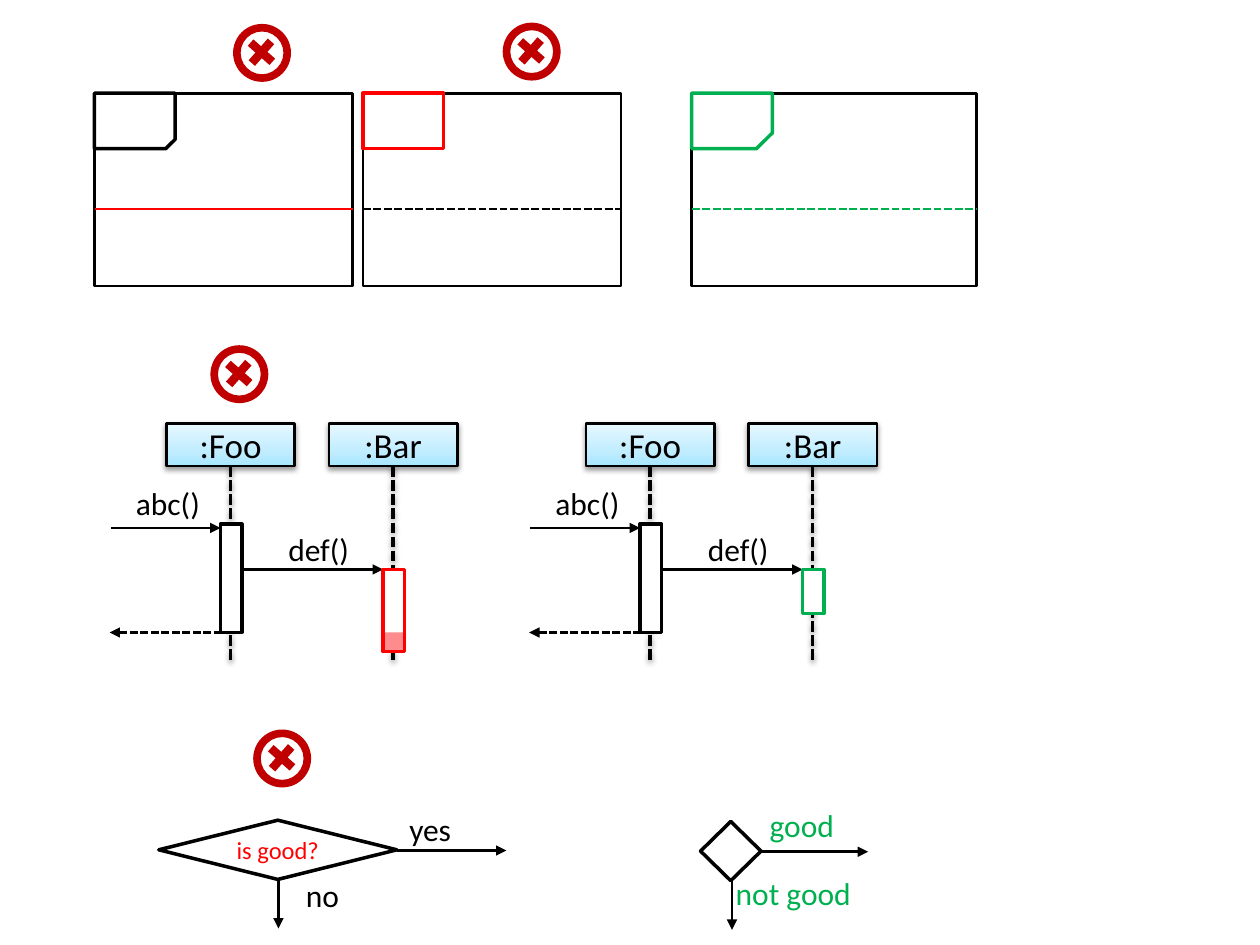
from copy import deepcopy
from lxml.etree import SubElement
from pptx import Presentation
from pptx.dml.color import RGBColor
from pptx.enum.dml import MSO_LINE
from pptx.enum.shapes import MSO_CONNECTOR, MSO_SHAPE
from pptx.enum.text import MSO_ANCHOR, PP_ALIGN
from pptx.oxml.ns import qn
from pptx.util import Pt

PX = 9144
BLACK = RGBColor(0x00, 0x00, 0x00)
WHITE = RGBColor(0xFF, 0xFF, 0xFF)
RED = RGBColor(0xFF, 0x00, 0x00)
DARK_RED = RGBColor(0xC0, 0x00, 0x00)
GREEN = RGBColor(0x00, 0xB0, 0x50)
HEADER_BLUES = [
    (0, RGBColor(0xA7, 0xE6, 0xFF)),
    (0.35, RGBColor(0xC1, 0xED, 0xFF)),
    (1, RGBColor(0xE7, 0xF8, 0xFF)),
]

presentation = Presentation()
presentation.slide_width = 1000 * PX
presentation.slide_height = 750 * PX
slide = presentation.slides.add_slide(presentation.slide_layouts[6])


def add_box(container, kind, left, top, width, height, fill=None, line=None, weight=2):
    shape = container.add_shape(kind, left * PX, top * PX, width * PX, height * PX)
    if fill is None:
        shape.fill.background()
    else:
        shape.fill.solid()
        shape.fill.fore_color.rgb = fill
    if line is None:
        shape.line.fill.background()
    else:
        shape.line.color.rgb = line
        shape.line.width = Pt(weight)
    shape.shadow.inherit = False
    return shape


def add_line(start_x, start_y, end_x, end_y, color=BLACK, weight=1.5, dashed=False, arrow=False):
    connector = slide.shapes.add_connector(
        MSO_CONNECTOR.STRAIGHT, start_x * PX, start_y * PX, end_x * PX, end_y * PX)
    connector.line.color.rgb = color
    connector.line.width = Pt(weight)
    if dashed:
        connector.line.dash_style = MSO_LINE.SQUARE_DOT
    properties = connector._element.spPr
    if arrow:
        SubElement(properties.find(qn("a:ln")), qn("a:tailEnd"), type="triangle")
    SubElement(properties, qn("a:effectLst"))
    return connector


for left, width, corner, tab_color, divider_color, dashed in [
    (75, 205, 0.167, BLACK, RED, False),
    (288, 205, 0, RED, BLACK, True),
    (549, 226, 0.284, GREEN, GREEN, True),
]:
    add_box(slide.shapes, MSO_SHAPE.RECTANGLE, left, 74, width, 153, WHITE, BLACK, 1.5)
    tab = add_box(slide.shapes, MSO_SHAPE.SNIP_1_RECTANGLE, left, 74, 64, 44, WHITE, tab_color)
    tab.adjustments[0] = corner
    tab._element.spPr.xfrm.set("flipV", "1")
    add_line(left, 166, left + width, 166, divider_color, dashed=dashed)

shadowed = []
labels = []
for left, bar_color, bar_height in [(87, RED, 65), (420, GREEN, 35)]:
    for name, offset in [(":Foo", 45), (":Bar", 174)]:
        center = left + offset + 51
        lifeline = add_line(center, 370, center, 526, weight=2, dashed=True)
        header = add_box(slide.shapes, MSO_SHAPE.RECTANGLE, left + offset, 336, 102, 34, WHITE, BLACK, 1.5)
        header.fill.gradient()
        header.fill.gradient_angle = 90
        stop_list = header._element.spPr.find(".//" + qn("a:gsLst"))
        stop_list.insert(1, deepcopy(stop_list[0]))
        for stop, (position, color) in zip(header.fill.gradient_stops, HEADER_BLUES):
            stop.position = position
            stop.color.rgb = color
        shadowed += [lifeline, header]
        frame = header.text_frame
        frame.margin_left = frame.margin_right = frame.margin_top = frame.margin_bottom = 0
        frame.vertical_anchor = MSO_ANCHOR.TOP
        paragraph = frame.paragraphs[0]
        paragraph.alignment = PP_ALIGN.CENTER
        run = paragraph.add_run()
        run.text = name
        run.font.name = "Calibri"
        run.font.size = Pt(20)
        run.font.color.rgb = BLACK
    add_line(left + 1, 419, left + 88, 419, arrow=True)
    add_line(left + 89, 502, left, 502, dashed=True, arrow=True)
    add_line(left + 104, 452, left + 217, 452, arrow=True)
    add_box(slide.shapes, MSO_SHAPE.RECTANGLE, left + 88, 416, 17, 86, WHITE, BLACK)
    add_box(slide.shapes, MSO_SHAPE.RECTANGLE, left + 217, 452, 17, bar_height, WHITE, bar_color)
    labels += [("abc()", left + 11, 379, 87, BLACK), ("def()", left + 132, 416, 87, BLACK)]

for shape in shadowed:
    effects = shape._element.spPr.find(qn("a:effectLst"))
    shadow = SubElement(effects, qn("a:outerShdw"), blurRad=str(Pt(3.1)), dist=str(Pt(1.6)),
                        dir="5400000", rotWithShape="0")
    shadow_color = SubElement(shadow, qn("a:srgbClr"), val=str(BLACK))
    SubElement(shadow_color, qn("a:alpha"), val="38000")

overrun = add_box(slide.shapes, MSO_SHAPE.RECTANGLE, 304, 502, 17, 16, RED)
overrun_color = overrun._element.spPr.find(".//" + qn("a:srgbClr"))
SubElement(overrun_color, qn("a:alpha"), val="45000")

question = add_box(slide.shapes, MSO_SHAPE.FLOWCHART_DECISION, 126, 651, 189, 47, line=BLACK)
paragraph = question.text_frame.paragraphs[0]
paragraph.alignment = PP_ALIGN.CENTER
run = paragraph.add_run()
run.text = "is good?"
run.font.name = "Calibri"
run.font.size = Pt(14)
run.font.color.rgb = RED
add_box(slide.shapes, MSO_SHAPE.FLOWCHART_DECISION, 556, 652, 48, 47, line=BLACK)

for right, middle, center, end in [(315, 675, 221, 402), (603, 676, 581, 689)]:
    add_line(right, middle, end, middle, arrow=True)
    add_line(center, middle + 23, center, middle + 62, arrow=True)

labels += [
    ("yes", 315, 638, 67, BLACK),
    ("no", 233, 690, 67, BLACK),
    ("good", 601, 635, 77, GREEN),
    ("not good", 574, 689, 112, GREEN),
]
for text, left, top, width, color in labels:
    label = slide.shapes.add_textbox(left * PX, top * PX, width * PX, 40 * PX)
    label.text_frame.word_wrap = True
    run = label.text_frame.paragraphs[0].add_run()
    run.text = text
    run.font.name = "Calibri"
    run.font.size = Pt(18)
    run.font.color.rgb = color

for left, top in [(185, 19), (399, 18), (167, 274), (201, 579)]:
    badge = slide.shapes.add_group_shape()
    add_box(badge.shapes, MSO_SHAPE.FLOWCHART_CONNECTOR, left, top, 46, 46, WHITE)
    ring = add_box(badge.shapes, MSO_SHAPE.DONUT, left, top, 46, 46, DARK_RED)
    ring.adjustments[0] = 0.131
    cross = add_box(badge.shapes, MSO_SHAPE.CROSS, left + 11, top + 11, 23, 23, DARK_RED)
    cross.adjustments[0] = 0.354
    cross.rotation = 41.5

presentation.save("out.pptx")
